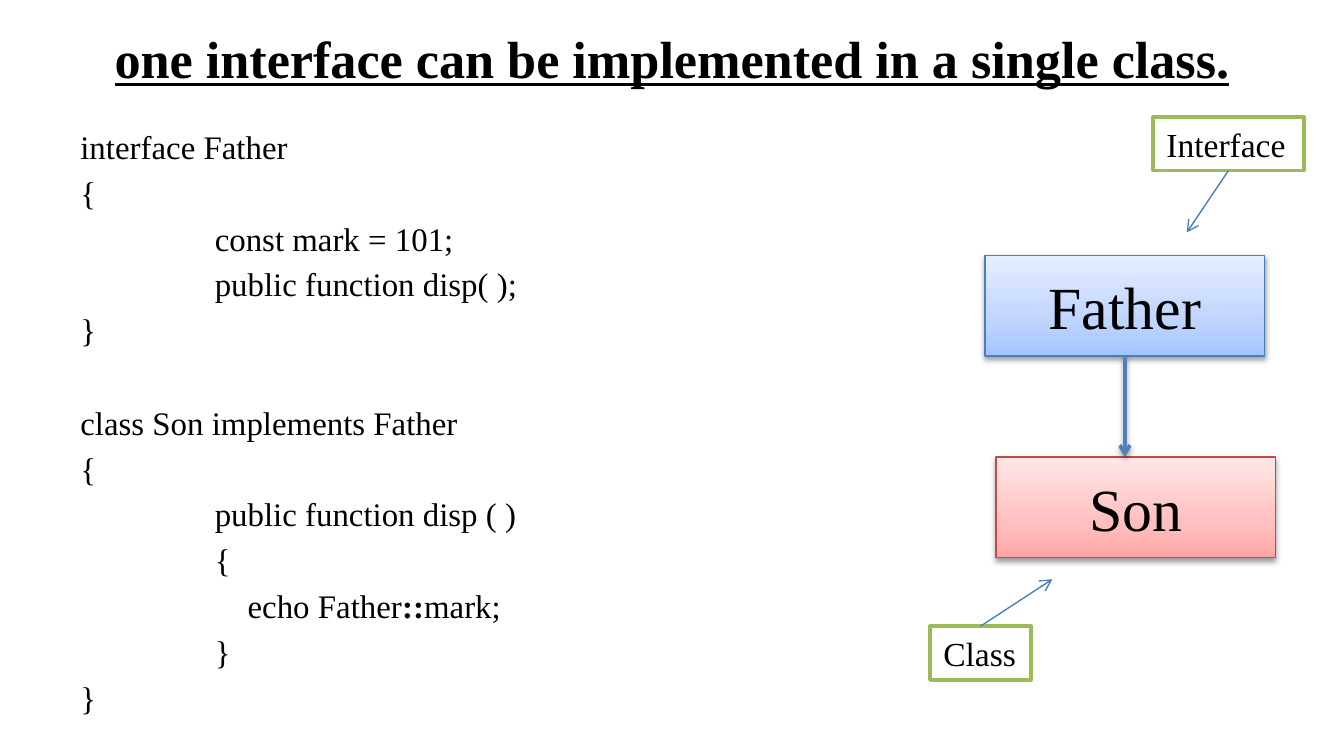
from lxml.etree import SubElement
from pptx import Presentation
from pptx.dml.color import RGBColor
from pptx.enum.shapes import MSO_CONNECTOR, MSO_SHAPE
from pptx.enum.text import MSO_ANCHOR, PP_ALIGN
from pptx.oxml.ns import qn
from pptx.util import Inches, Pt

FONT = "Times New Roman"
BLACK = RGBColor(0x00, 0x00, 0x00)
WHITE = RGBColor(0xFF, 0xFF, 0xFF)
GREEN = RGBColor(0x9B, 0xBB, 0x59)
BLUE = RGBColor(0x4F, 0x81, 0xBD)
DARK_BLUE = RGBColor(0x4B, 0x7E, 0xBC)
DARK_RED = RGBColor(0xBF, 0x4C, 0x48)
BLUE_STOPS = [(0, RGBColor(0xA4, 0xC4, 0xFF)), (35, RGBColor(0xBF, 0xD4, 0xFF)),
              (100, RGBColor(0xE6, 0xEE, 0xFF))]
RED_STOPS = [(0, RGBColor(0xFF, 0xA6, 0xA5)), (35, RGBColor(0xFF, 0xC0, 0xBF)),
             (100, RGBColor(0xFF, 0xE7, 0xE7))]

CODE_SIZE = 17.6
LINE_GAP = 3.52
BLOCK_GAP = 28.2
INTERFACE_CODE = ["interface Father", "{", "\tconst mark = 101;",
                  "\tpublic function disp( );", "}"]
CLASS_CODE = ["class Son implements Father", "{", "\tpublic function disp ( )",
              "\t{", "\t    echo Father::mark;", "\t}", "}"]


def add_span(para, text, size, bold=False, underline=False):
    span = para.add_run()
    span.text = text
    font = span.font
    font.name, font.size, font.color.rgb = FONT, Pt(size), BLACK
    font.bold, font.underline = bold, underline


def add_tab_stop(para, position):
    tabs = SubElement(para._p.get_or_add_pPr(), qn("a:tabLst"))
    SubElement(tabs, qn("a:tab"), pos=str(Inches(position)), algn="l")


def add_shadow(effects):
    """Add a soft shadow that falls straight down to an effect list."""
    shadow = SubElement(effects, qn("a:outerShdw"), blurRad=str(Pt(3.1)),
                        dist=str(Pt(1.6)), dir="5400000", rotWithShape="0")
    color = SubElement(shadow, qn("a:srgbClr"), val=str(BLACK))
    SubElement(color, qn("a:alpha"), val="38000")


def fill_gradient(shape, stops):
    shape.fill.gradient()
    shape.fill.gradient_angle = 90
    stop_list = shape._element.spPr.find(".//" + qn("a:gsLst"))
    for old_stop in list(stop_list):
        stop_list.remove(old_stop)
    for percent, color in stops:
        stop = SubElement(stop_list, qn("a:gs"), pos=str(percent * 1000))
        SubElement(stop, qn("a:srgbClr"), val=str(color))


def add_title(page, left, top, width, height, text):
    box = page.shapes.add_textbox(Inches(left), Inches(top), Inches(width), Inches(height))
    frame = box.text_frame
    frame.word_wrap = True
    frame.vertical_anchor = MSO_ANCHOR.MIDDLE
    para = frame.paragraphs[0]
    para.alignment = PP_ALIGN.CENTER
    add_span(para, text, 28, bold=True, underline=True)


def add_code(page, left, top, width, height, blocks):
    """Place blocks of code lines, with the scope operator in bold."""
    box = page.shapes.add_textbox(Inches(left), Inches(top), Inches(width), Inches(height))
    frame = box.text_frame
    frame.word_wrap = True
    for block_index, block in enumerate(blocks):
        for line_index, line in enumerate(block):
            first = block_index == line_index == 0
            para = frame.paragraphs[0] if first else frame.add_paragraph()
            add_tab_stop(para, 1)
            if not first:
                para.space_before = Pt(LINE_GAP if line_index else BLOCK_GAP)
            before, operator, after = line.partition("::")
            add_span(para, before, CODE_SIZE)
            if operator:
                add_span(para, operator, CODE_SIZE, bold=True)
                add_span(para, after, CODE_SIZE)


def add_rectangle(page, left, top, width, height, text, size, line_color, line_width):
    shape = page.shapes.add_shape(MSO_SHAPE.RECTANGLE, Inches(left), Inches(top),
                                  Inches(width), Inches(height))
    shape.shadow.inherit = False
    shape.line.color.rgb = line_color
    shape.line.width = Pt(line_width)
    add_span(shape.text_frame.paragraphs[0], text, size)
    return shape


def add_type_box(page, left, top, text, stops, line_color):
    shape = add_rectangle(page, left, top, 2.08, 0.75, text, 32, line_color, 0.75)
    fill_gradient(shape, stops)
    add_shadow(shape._element.spPr.find(qn("a:effectLst")))
    shape.text_frame.vertical_anchor = MSO_ANCHOR.MIDDLE
    shape.text_frame.paragraphs[0].alignment = PP_ALIGN.CENTER
    return shape


def add_label(page, left, top, width, text):
    shape = add_rectangle(page, left, top, width, 0.4, text, 18, GREEN, 2)
    shape.fill.solid()
    shape.fill.fore_color.rgb = WHITE
    shape.text_frame.word_wrap = False
    shape.text_frame.vertical_anchor = MSO_ANCHOR.TOP
    shape.text_frame.paragraphs[0].alignment = PP_ALIGN.LEFT
    return shape


def add_arrow(page, source, side, end_x, end_y, color, width, shadow=False):
    """Draw an arrow from the middle of a shape's side to a free point."""
    end_x, end_y = Inches(end_x), Inches(end_y)
    arrow = page.shapes.add_connector(MSO_CONNECTOR.STRAIGHT, end_x, end_y, end_x, end_y)
    arrow.begin_connect(source, side)
    arrow.line.color.rgb = color
    arrow.line.width = Pt(width)
    SubElement(arrow.line._get_or_add_ln(), qn("a:tailEnd"), type="arrow")
    effects = SubElement(arrow._element.spPr, qn("a:effectLst"))
    if shadow:
        add_shadow(effects)


def add_diagram(page, left, top):
    father = add_type_box(page, left + 0.41, top + 1.03, "Father", BLUE_STOPS, DARK_BLUE)
    add_type_box(page, left + 0.49, top + 2.53, "Son", RED_STOPS, DARK_RED)
    add_arrow(page, father, 2, left + 1.45, top + 2.53, BLUE, 2, shadow=True)
    interface_label = add_label(page, left + 1.66, top, 1.12, "Interface")
    add_arrow(page, interface_label, 2, left + 1.91, top + 0.86, DARK_BLUE, 0.75)
    class_label = add_label(page, left, top + 3.79, 0.75, "Class")
    add_arrow(page, class_label, 0, left + 0.91, top + 3.44, DARK_BLUE, 0.75)


def main():
    deck = Presentation()
    deck.slide_width = Inches(10)
    deck.slide_height = deck.slide_width * 9 // 16
    page = deck.slides.add_slide(deck.slide_layouts[6])
    add_title(page, 0.5, -0.04, 9, 0.94, "one interface can be implemented in a single class.")
    add_code(page, 0.5, 0.89, 6, 4.33, [INTERFACE_CODE, CLASS_CODE])
    add_diagram(page, 6.92, 0.87)
    deck.save("out.pptx")


if __name__ == "__main__":
    main()
